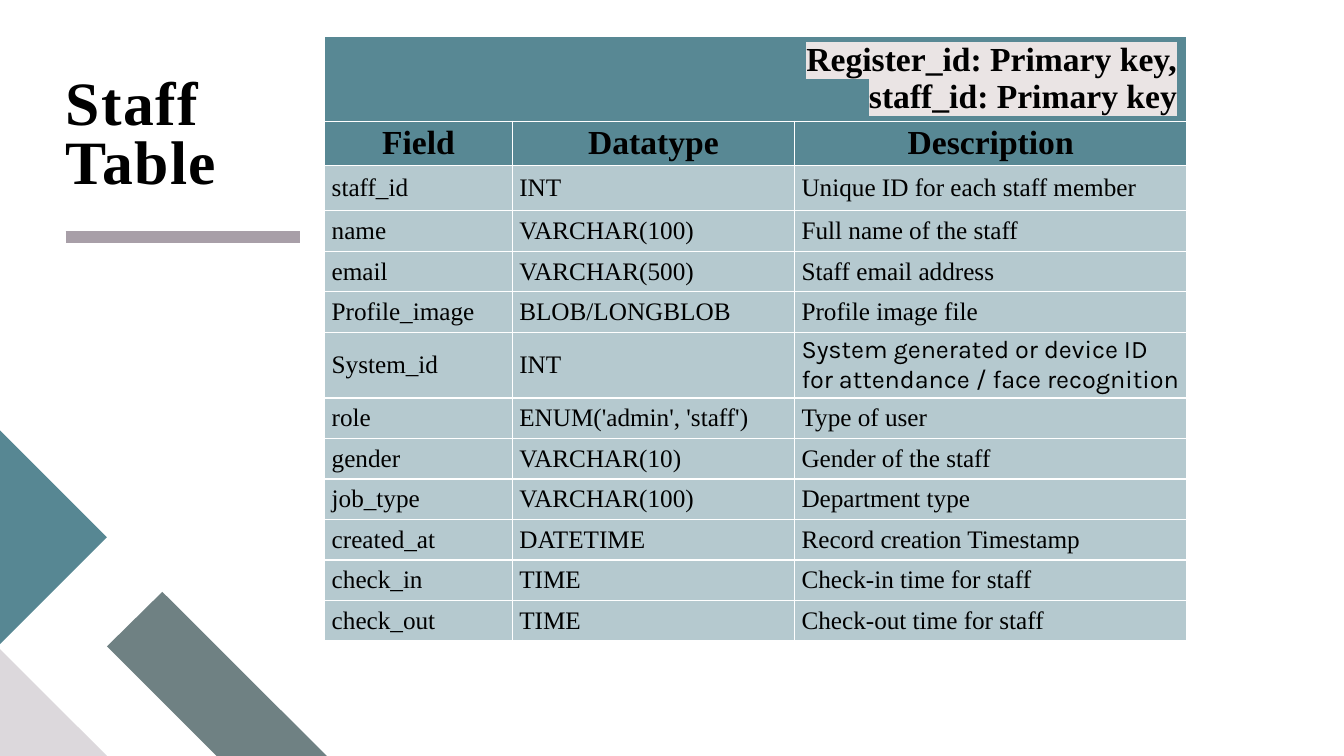
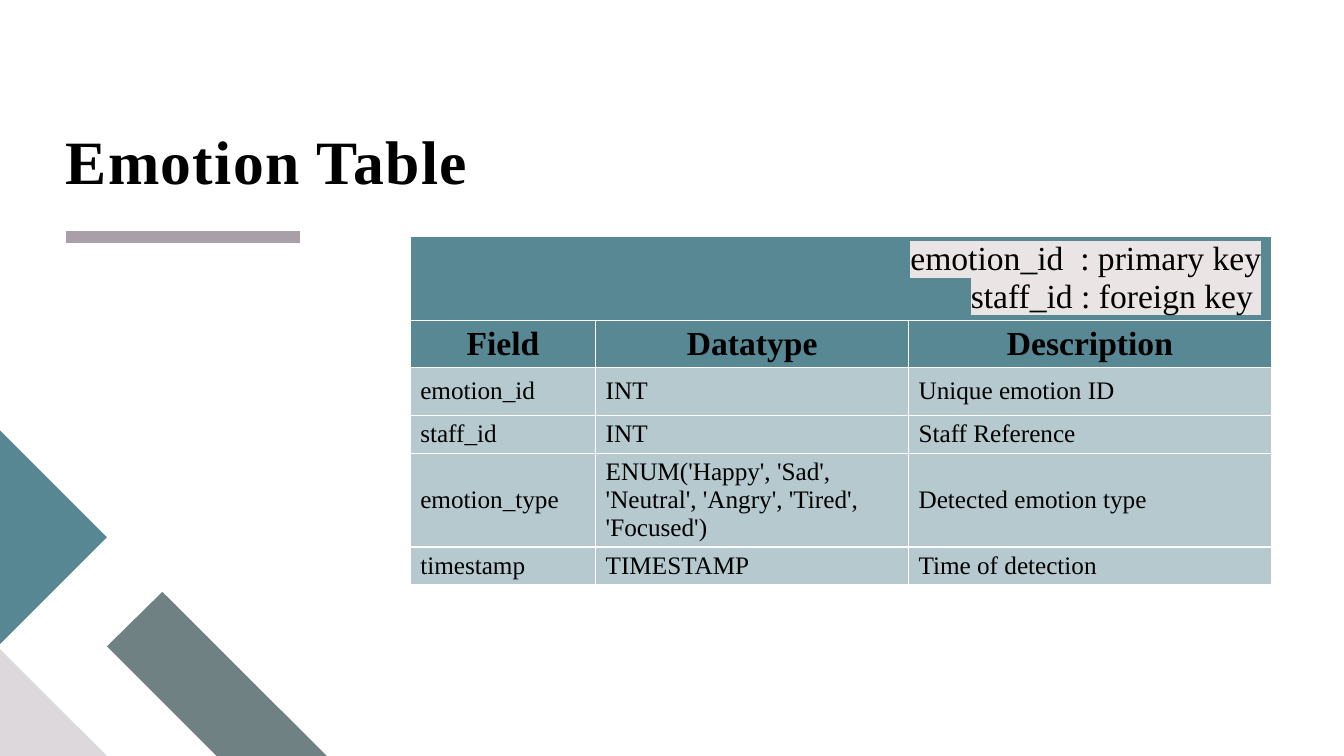
"""Build the staff and emotion data-dictionary slides."""
import dataclasses

import lxml.etree
import pptx
import pptx.dml.color
import pptx.enum.text
import pptx.oxml.ns
import pptx.util

ALIGN = pptx.enum.text.PP_ALIGN
ANCHOR = pptx.enum.text.MSO_ANCHOR
qn = pptx.oxml.ns.qn


@dataclasses.dataclass(frozen=True)
class Theme:
    """Colours, fonts and type sizes."""
    serif: str = "Times New Roman"
    sans: str = "Karla"
    ink: str = "000000"
    white: str = "FFFFFF"
    teal: str = "578793"
    heading: str = "588894"
    body: str = "B5C9CF"
    slate: str = "6F8183"
    mist: str = "DCD8DC"
    rule: str = "A89FA8"
    highlight: str = "EAE4E4"
    title_size: int = 44
    heading_size: int = 24
    body_size: int = 18
    rule_width: int = 8
    border_width: int = 1


class Deck:
    """Draw styled slides on a grid of 25 columns and 14 rows."""

    def __init__(self, theme):
        """Open an empty presentation."""
        self.theme = theme
        self.presentation = pptx.Presentation()
        self.presentation.slide_width = pptx.util.Inches(13.33)
        self.presentation.slide_height = pptx.util.Inches(7.5)
        self.slide = None

    def x(self, columns):
        """Convert grid columns to a length."""
        return round(self.presentation.slide_width * columns / 25)

    def y(self, rows):
        """Convert grid rows to a length."""
        return round(self.presentation.slide_height * rows / 14)

    def rgb(self, colour):
        """Return a colour object."""
        return pptx.dml.color.RGBColor.from_string(colour)

    def format(self, paragraph, size, bold=False, face=None):
        """Set the font of a whole paragraph."""
        font = paragraph.font
        font.name = face or self.theme.serif
        font.size = pptx.util.Pt(size)
        font.bold = bold
        font.color.rgb = self.rgb(self.theme.ink)

    def add_slide(self, title, title_columns):
        """Start a slide with its shared decoration and title."""
        layout = self.presentation.slide_layouts[5]
        self.slide = self.presentation.slides.add_slide(layout)
        theme = self.theme
        self.rule(1.22, 5.59, 4.39)
        self.polygon([(4.03, 14), (1.99, 11.97), (3.02, 10.96), (6.08, 14)], theme.slate)
        self.polygon([(0, 12.02), (1.99, 14), (0, 14)], theme.mist)
        self.polygon([(0, 7.97), (1.99, 9.95), (0, 11.93)], theme.teal)
        self.title(title, title_columns)

    def rule(self, start, end, row):
        """Draw the thick line under the title."""
        line = self.slide.shapes.add_connector(
            pptx.enum.shapes.MSO_CONNECTOR.STRAIGHT,
            self.x(start), self.y(row), self.x(end), self.y(row))
        line.line.color.rgb = self.rgb(self.theme.rule)
        line.line.width = pptx.util.Pt(self.theme.rule_width)
        lxml.etree.SubElement(line._element.spPr, qn("a:effectLst"))

    def polygon(self, corners, colour):
        """Draw a filled outline through grid points."""
        points = [(self.x(column), self.y(row)) for column, row in corners]
        builder = self.slide.shapes.build_freeform(*points[0], scale=1.0)
        builder.add_line_segments(points[1:], close=True)
        outline = builder.convert_to_shape()
        outline.shadow.inherit = False
        outline.fill.solid()
        outline.fill.fore_color.rgb = self.rgb(colour)
        outline.line.fill.background()

    def title(self, text, columns):
        """Place and style the title."""
        title = self.slide.shapes.title
        title.left, title.top = self.x(1.22), self.y(1.29)
        title.width, title.height = self.x(columns), self.y(2.35)
        frame = title.text_frame
        frame.text = text
        frame.word_wrap = True
        frame.auto_size = pptx.enum.text.MSO_AUTO_SIZE.NONE
        frame.vertical_anchor = ANCHOR.BOTTOM
        frame.margin_left = frame.margin_right = frame.margin_top = frame.margin_bottom = 0
        paragraph = frame.paragraphs[0]
        paragraph.alignment = ALIGN.LEFT
        paragraph.line_spacing = 0.8
        self.format(paragraph, self.theme.title_size, True)
        for run in paragraph.runs:
            run._r.get_or_add_rPr().set("spc", "100")

    def cell(self, cell, text, size, colour, align=ALIGN.LEFT, bold=False, face=None):
        """Fill, border and write one table cell."""
        properties = cell._tc.get_or_add_tcPr()
        for side in ("a:lnL", "a:lnR", "a:lnT", "a:lnB"):
            width = pptx.util.Pt(self.theme.border_width)
            border = lxml.etree.SubElement(properties, qn(side), w=str(width))
            paint = lxml.etree.SubElement(border, qn("a:solidFill"))
            lxml.etree.SubElement(paint, qn("a:srgbClr"), val=self.theme.white)
        cell.fill.solid()
        cell.fill.fore_color.rgb = self.rgb(colour)
        cell.vertical_anchor = ANCHOR.MIDDLE
        cell.text = text
        for paragraph in cell.text_frame.paragraphs:
            paragraph.alignment = align
            self.format(paragraph, size, bold, face)

    def highlight(self, cell):
        """Mark all text of a cell."""
        for paragraph in cell.text_frame.paragraphs:
            for run in paragraph.runs:
                mark = lxml.etree.SubElement(run._r.get_or_add_rPr(), qn("a:highlight"))
                lxml.etree.SubElement(mark, qn("a:srgbClr"), val=self.theme.highlight)

    def dictionary(self, origin, widths, heights, keys, fields,
                   keys_bold=False, margins=(0.1, 0.05), sans_text=None):
        """Add a table of fields below a row of keys."""
        theme = self.theme
        table = self.slide.shapes.add_table(
            len(heights), len(widths), self.x(origin[0]), self.y(origin[1]),
            self.x(sum(widths)), self.y(sum(heights))).table
        table.horz_banding = False
        for column, width in zip(table.columns, widths):
            column.width = self.x(width)
        for row, height in zip(table.rows, heights):
            row.height = self.y(height)
        for spare in range(len(widths)):
            self.cell(table.cell(0, spare), "", theme.heading_size, theme.heading)
        table.cell(0, 0).merge(table.cell(0, len(widths) - 1))
        key_cell = table.cell(0, 0)
        key_cell.text = keys
        for paragraph in key_cell.text_frame.paragraphs:
            paragraph.alignment = ALIGN.RIGHT
            self.format(paragraph, theme.heading_size, keys_bold)
        self.highlight(key_cell)
        for row, entries in enumerate([("Field", "Datatype", "Description")] + fields, 1):
            for column, text in enumerate(entries):
                cell = table.cell(row, column)
                if row == 1:
                    self.cell(cell, text, theme.heading_size, theme.heading, ALIGN.CENTER, True)
                else:
                    face = theme.sans if text == sans_text else theme.serif
                    self.cell(cell, text, theme.body_size, theme.body, face=face)
                cell.margin_left = cell.margin_right = pptx.util.Inches(margins[0])
                cell.margin_top = cell.margin_bottom = pptx.util.Inches(margins[1])


def main():
    """Build and save both slides."""
    deck = Deck(Theme())

    system_note = "System generated or device ID for attendance / face recognition"
    staff_fields = [
        ("staff_id", "INT", "Unique ID for each staff member"),
        ("name", "VARCHAR(100)", "Full name of the staff"),
        ("email", "VARCHAR(500)", "Staff email address"),
        ("Profile_image", "BLOB/LONGBLOB", "Profile image file"),
        ("System_id", "INT", system_note),
        ("role", "ENUM('admin', 'staff')", "Type of user"),
        ("gender", "VARCHAR(10)", "Gender of the staff"),
        ("job_type", "VARCHAR(100)", "Department type"),
        ("created_at", "DATETIME", "Record creation Timestamp"),
        ("check_in", "TIME", "Check-in time for staff"),
        ("check_out", "TIME", "Check-out time for staff"),
    ]
    deck.add_slide("Staff \vTable", 5.51)
    deck.dictionary(
        (6.04, 0.68), (3.49, 5.25, 7.3), [1.55, 0.82, 0.84] + [0.75] * 3 + [1.22] + [0.75] * 6,
        "Register_id: Primary key,\nstaff_id: Primary key", staff_fields,
        keys_bold=True, margins=(0.07, 0.03), sans_text=system_note)

    emotion_fields = [
        ("emotion_id", "INT", "Unique emotion ID"),
        ("staff_id", "INT", "Staff Reference"),
        ("emotion_type", "ENUM('Happy', 'Sad', 'Neutral', 'Angry', 'Tired', 'Focused')",
         "Detected emotion type"),
        ("timestamp", "TIMESTAMP", "Time of detection"),
    ]
    deck.add_slide("Emotion Table", 7.78)
    deck.dictionary(
        (7.63, 4.37), (3.45, 5.82, 6.75), [1.55, 0.87, 0.88, 0.7, 1.73, 0.7],
        "emotion_id  : primary key\nstaff_id : foreign key ", emotion_fields)

    deck.presentation.save("out.pptx")


if __name__ == "__main__":
    main()
